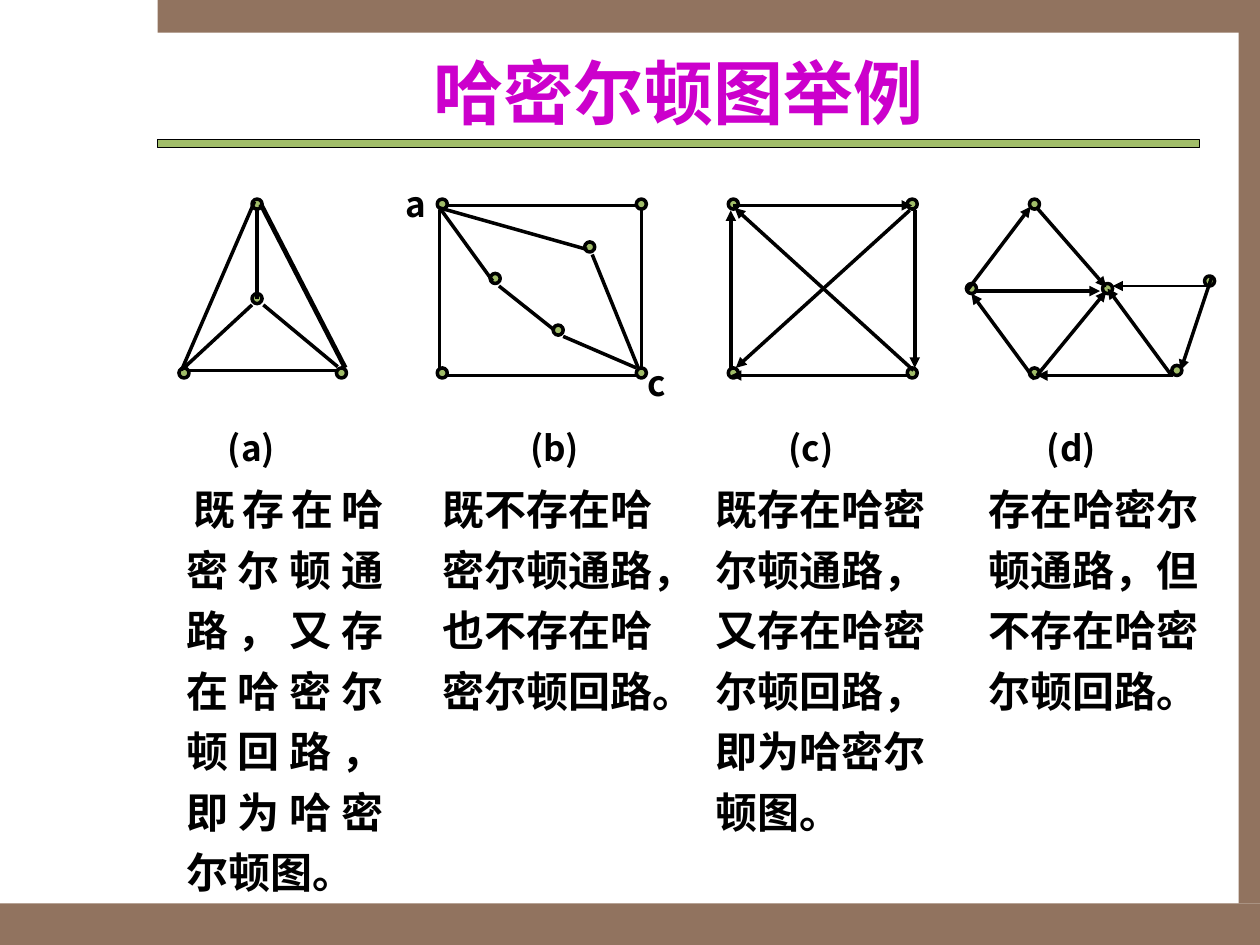
from lxml import etree
from pptx import Presentation
from pptx.dml.color import RGBColor
from pptx.enum.lang import MSO_LANGUAGE_ID
from pptx.enum.shapes import MSO_CONNECTOR, MSO_SHAPE
from pptx.enum.text import MSO_ANCHOR, MSO_AUTO_SIZE, PP_ALIGN
from pptx.oxml.ns import qn
from pptx.util import Pt

RECTANGLE, OVAL = MSO_SHAPE.RECTANGLE, MSO_SHAPE.OVAL
STRAIGHT = MSO_CONNECTOR.STRAIGHT
MIDDLE = MSO_ANCHOR.MIDDLE
LEFT, CENTER, JUSTIFY = PP_ALIGN.LEFT, PP_ALIGN.CENTER, PP_ALIGN.JUSTIFY
GROW, FIXED = MSO_AUTO_SIZE.SHAPE_TO_FIT_TEXT, MSO_AUTO_SIZE.NONE
CHINESE = MSO_LANGUAGE_ID.SIMPLIFIED_CHINESE

FONT = "Noto Sans CJK SC"
COLORS = {"frame": "91735F", "green": "A1BD69", "ink": "000000", "title": "CC00CC"}
TITLE_ONLY = 5
NODE = 8


def px(value):
    """100 px to the inch."""
    return value * 9144


def color(name):
    return RGBColor.from_string(COLORS[name])


def write(frame, text, size, ink="ink", align=LEFT, spacing=1.2, hanging=0):
    """Fill a text frame with one bold paragraph."""
    para = frame.paragraphs[0]
    para.alignment = align
    para.line_spacing = spacing
    if hanging:
        properties = para._p.get_or_add_pPr()
        properties.set("marL", str(px(hanging)))
        properties.set("indent", str(-px(hanging)))
        stops = etree.SubElement(properties, qn("a:tabLst"))
        for inch in range(8):
            etree.SubElement(stops, qn("a:tab"), pos=str(px(100 * inch)), algn="l")
    span = para.add_run()
    span.text = text
    font = span.font
    font.size, font.bold, font.name = Pt(size), True, FONT
    font.language_id = CHINESE
    font.color.rgb = color(ink)
    etree.SubElement(font._element, qn("a:ea"), typeface=FONT)


class Board:
    """Draws on the slide, or on the group that is open."""

    def __init__(self, slide):
        self.slide = slide
        self.shapes = slide.shapes

    def shape(self, kind, left, top, width, height, fill, line=0):
        shape = self.shapes.add_shape(kind, px(left), px(top), px(width), px(height))
        shape.shadow.inherit = False
        shape.fill.solid()
        shape.fill.fore_color.rgb = color(fill)
        if line:
            shape.line.color.rgb = color("ink")
            shape.line.width = Pt(line)
        else:
            shape.line.fill.background()

    def edge(self, x1, y1, x2, y2, width=2, arrow=False):
        edge = self.shapes.add_connector(STRAIGHT, px(x1), px(y1), px(x2), px(y2))
        edge.line.color.rgb = color("ink")
        edge.line.width = Pt(width)
        if arrow:
            etree.SubElement(edge.line._ln, qn("a:tailEnd"), type="triangle")
        etree.SubElement(edge._element.spPr, qn("a:effectLst"))

    def text(self, left, top, width, height, text, size, wrap=True, **style):
        box = self.shapes.add_textbox(px(left), px(top), px(width), px(height))
        box.text_frame.word_wrap = wrap
        box.text_frame.auto_size = FIXED if wrap else GROW
        write(box.text_frame, text, size, **style)

    def title(self, left, top, width, height, text):
        title = self.slide.shapes.title
        title.left, title.top, title.width, title.height = map(px, (left, top, width, height))
        title.text_frame.vertical_anchor = MIDDLE
        write(title.text_frame, text, 40, ink="title", align=CENTER, spacing=1)

    def graph(self, nodes, edges, labels, directed):
        """Edges are (x1, y1, x2, y2[, width]); arrows point at the second end."""
        self.shapes = self.slide.shapes.add_group_shape().shapes
        for left, top in nodes:
            self.shape(OVAL, left, top, NODE, NODE, "green", 2)
        for edge in edges:
            self.edge(*edge, arrow=directed)
        for left, top, width, label in labels:
            self.text(left, top, width, 50, label, 20, wrap=False)
        self.shapes = self.slide.shapes


GRAPHS = [
    {   # (a) triangle with a centre
        "nodes": [(200, 158), (267, 292), (142, 292), (200, 233)],
        "edges": [(202, 160, 144, 294), (207, 162, 274, 292, 2.75), (150, 294, 267, 294),
                  (204, 167, 204, 237), (200, 242, 146, 292), (209, 242, 268, 291)],
        "labels": [(171, 327, 70, "(a)")],
        "directed": False,
    },
    {   # (b) rectangle with two inner paths from a to c
        "nodes": [(347, 158), (464, 192), (505, 292), (505, 158),
                  (347, 292), (439, 258), (389, 217)],
        "edges": [(349, 167, 349, 292), (355, 163, 505, 163), (355, 298, 505, 298),
                  (509, 167, 509, 292), (349, 165, 391, 223), (349, 165, 466, 198),
                  (470, 202, 507, 293), (396, 227, 440, 262), (505, 292, 447, 267)],
        "labels": [(411, 327, 70, "(b)"), (312, 133, 37, "a"), (504, 275, 37, "c")],
        "directed": False,
    },
    {   # (c) directed square with diagonals
        "nodes": [(578, 158), (578, 292), (720, 158), (720, 292)],
        "edges": [(580, 292, 580, 167), (722, 298, 580, 298), (582, 163, 724, 163),
                  (726, 167, 726, 292), (722, 167, 584, 292), (725, 294, 583, 165)],
        "labels": [(616, 327, 70, "(c)")],
        "directed": True,
    },
    {   # (d) directed graph around a hub
        "nodes": [(817, 158), (875, 225), (767, 225), (817, 292), (930, 290), (956, 219)],
        "edges": [(962, 219, 937, 294), (768, 230, 818, 164), (823, 165, 878, 228),
                  (821, 301, 771, 233), (823, 298, 878, 231), (931, 298, 823, 298),
                  (929, 297, 879, 229), (774, 231, 873, 231), (958, 227, 883, 227, 1.5)],
        "labels": [(821, 327, 70, "(d)")],
        "directed": True,
    },
]

BOTH = "既存在哈密尔顿通路，又存在哈密尔顿回路，即为哈密尔顿图。"
CAPTIONS = [  # left, width, height, text, style
    (100, 214, 346, "\t" + BOTH, {"align": JUSTIFY, "hanging": 38}),
    (341, 189, 298, "既不存在哈密尔顿通路，也不存在哈密尔顿回路。", {}),
    (558, 189, 345, BOTH, {}),
    (775, 189, 250, "存在哈密尔顿通路，但不存在哈密尔顿回路。", {}),
]


def main():
    deck = Presentation()
    deck.slide_width, deck.slide_height = px(1000), px(750)
    board = Board(deck.slides.add_slide(deck.slide_layouts[TITLE_ONLY]))

    # Frame and title rule
    for bar in [(0, 717, 1000, 33), (125, 0, 875, 26), (983, 25, 17, 692)]:
        board.shape(RECTANGLE, *bar, "frame")
    board.shape(RECTANGLE, 125, 111, 827, 6, "green", 0.75)
    board.title(125, 33, 827, 79, "哈密尔顿图举例")

    # Graphs with their captions below
    for graph in GRAPHS:
        board.graph(**graph)
    for left, width, height, text, style in CAPTIONS:
        board.text(left, 371, width, height, text, 24, **style)

    deck.save("out.pptx")


if __name__ == "__main__":
    main()
